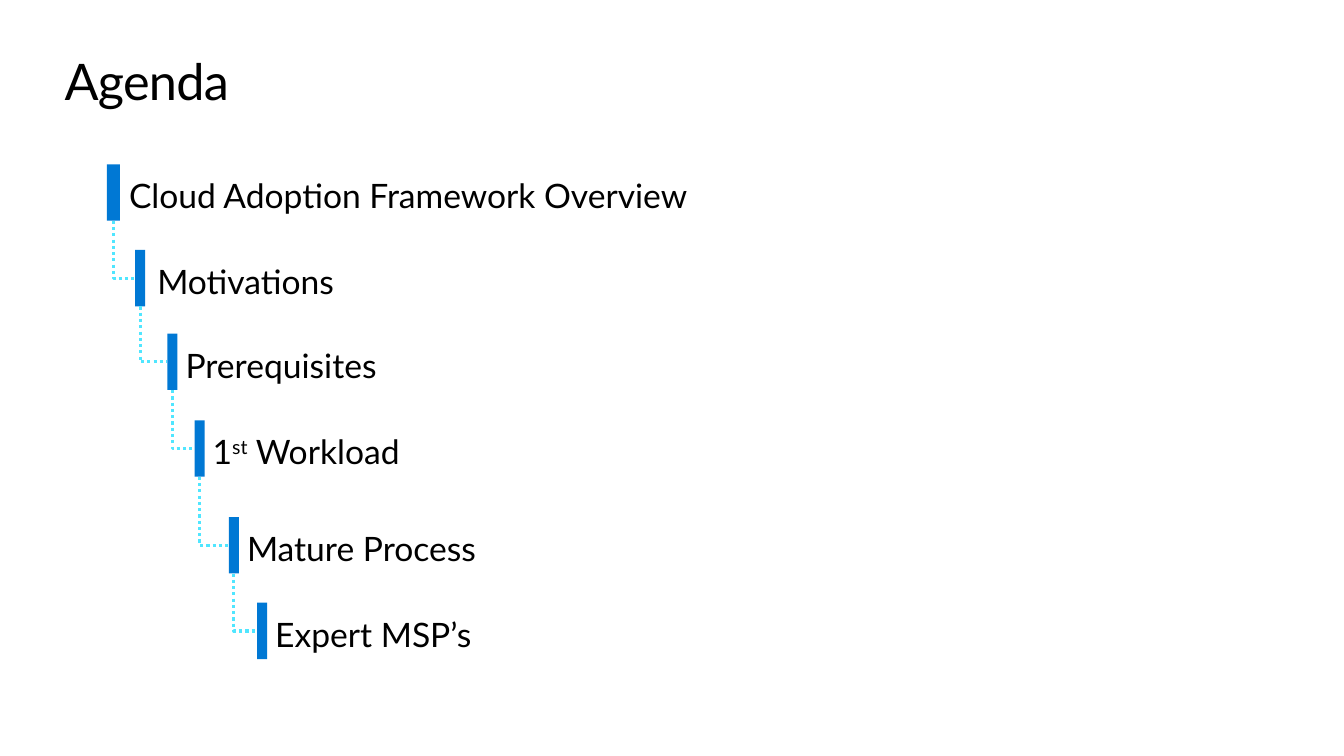
from dataclasses import dataclass
from itertools import pairwise

from lxml.etree import SubElement
from pptx import Presentation
from pptx.dml.color import RGBColor
from pptx.enum.dml import MSO_LINE
from pptx.enum.shapes import MSO_CONNECTOR, MSO_SHAPE
from pptx.oxml.ns import qn
from pptx.shapes.autoshape import Shape
from pptx.shapes.shapetree import GroupShapes, SlideShapes
from pptx.text.text import _Run
from pptx.util import Inches, Pt

FONT = "Lato"
BLACK, BLUE, CYAN = "000000", "0078D4", "50E6FF"
BAR_H = 0.56


@dataclass
class Step:
    words: tuple[str, ...]  # every second piece is superscript
    left: float
    top: float
    text_x: float
    text_w: float = 5.09
    bar_w: float = 0.1


STEPS = [
    Step(("Cloud Adoption Framework Overview",), 1.06, 1.63, 1.28, 6.43, 0.13),
    Step(("Motivations",), 1.34, 2.48, 1.56, 7.98),
    Step(("Prerequisites",), 1.66, 3.31, 1.84),
    Step(("1", "st", " Workload"), 1.93, 4.17, 2.11),
    Step(("Mature Process",), 2.27, 5.13, 2.45),
    Step(("Expert MSP’s",), 2.55, 5.98, 2.73),
]


def color(code: str) -> RGBColor:
    return RGBColor.from_string(code)


def add_text(shapes: SlideShapes | GroupShapes, words: tuple[str, ...], left: float,
             top: float, width: float, height: float, size: float) -> list[_Run]:
    box = shapes.add_textbox(Inches(left), Inches(top), Inches(width), Inches(height))
    frame = box.text_frame
    frame.word_wrap = True
    frame.margin_left = frame.margin_right = 0
    frame.margin_top = frame.margin_bottom = 0
    para = frame.paragraphs[0]
    for i, word in enumerate(words):
        run = para.add_run()
        run.text = word
        run.font.name = FONT
        run.font.size = Pt(size)
        run.font.color.rgb = color(BLACK)
        if i % 2:
            run.font._element.set("baseline", "30000")
    return list(para.runs)


def add_step(shapes: SlideShapes, step: Step) -> Shape:
    group = shapes.add_group_shape().shapes
    bar = group.add_shape(MSO_SHAPE.RECTANGLE, Inches(step.left), Inches(step.top),
                          Inches(step.bar_w), Inches(BAR_H))
    bar.shadow.inherit = False
    bar.fill.solid()
    bar.fill.fore_color.rgb = color(BLUE)
    bar.line.fill.background()
    add_text(group, step.words, step.text_x, step.top + 0.11, step.text_w, 0.4, 24)
    return bar


def add_link(shapes: SlideShapes, start: Shape, end: Shape) -> None:
    link = shapes.add_connector(MSO_CONNECTOR.ELBOW, 0, 0, 0, 0)
    link.begin_connect(start, 2)
    link.end_connect(end, 1)
    link.line.color.rgb = color(CYAN)
    link.line.width = Pt(2.25)
    link.line.dash_style = MSO_LINE.ROUND_DOT
    # One bend: a quarter turn swaps the sides of the frame about its centre
    wide, high = link.width, link.height
    link.left += (wide - high) // 2
    link.top += (high - wide) // 2
    link.width, link.height = high, wide
    props = link._element.spPr
    frame = props.find(qn("a:xfrm"))
    frame.set("rot", "16200000")
    frame.set("flipH", "1")
    props.find(qn("a:prstGeom")).set("prst", "bentConnector2")
    SubElement(props, qn("a:effectLst"))


def main() -> None:
    deck = Presentation()
    deck.slide_width, deck.slide_height = Inches(13.33), Inches(7.5)
    shapes = deck.slides.add_slide(deck.slide_layouts[6]).shapes

    # Title
    for run in add_text(shapes, ("Agenda",), 0.64, 0.5, 12.05, 0.61, 36):
        run.font._element.set("spc", "-50")

    # Staircase of steps and the dotted links between them
    bars = [add_step(shapes, step) for step in STEPS]
    for start, end in pairwise(bars):
        add_link(shapes, start, end)

    deck.save("out.pptx")


if __name__ == "__main__":
    main()
